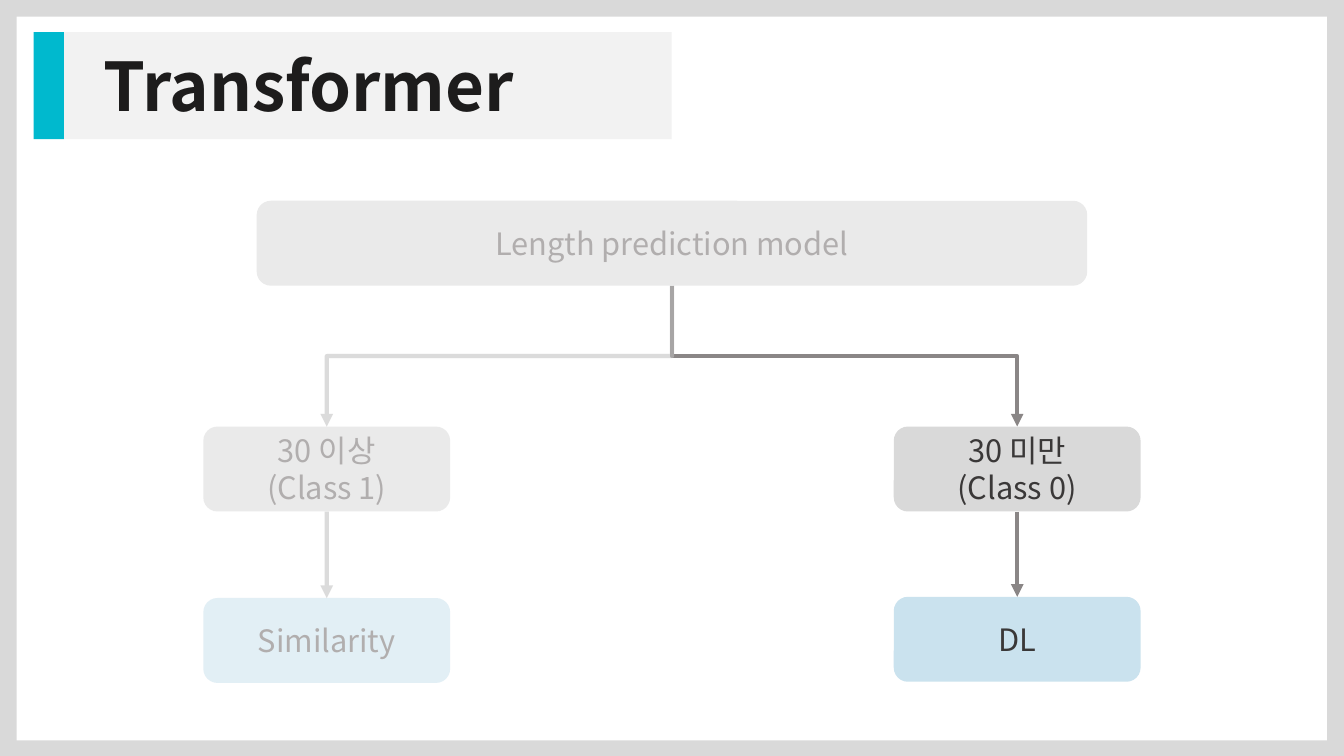
from lxml.etree import SubElement
from pptx import Presentation
from pptx.dml.color import RGBColor
from pptx.enum.shapes import MSO_CONNECTOR, MSO_SHAPE
from pptx.enum.text import MSO_ANCHOR, PP_ALIGN
from pptx.oxml.ns import qn
from pptx.util import Cm, Pt

WIDTH, HEIGHT = 33.87, 19.05
DARK, FADED = "3A3838", "B1AEAE"
GREY, BLUE = "D9D9D9", "CAE2EE"


def color(value):
    return RGBColor.from_string(value)


class Canvas:
    """Holds the style and the current page."""

    font = "Noto Sans CJK KR"
    text_size = 22
    line_width = 3

    def __init__(self, page):
        self.page = page

    def paint(self, fill, value, alpha=None):
        fill.solid()
        fill.fore_color.rgb = color(value)
        if alpha:
            element = fill._xPr.find(".//" + qn("a:srgbClr"))
            SubElement(element, qn("a:alpha"), val=str(alpha * 1000))

    def style(self, para, size, value, bold=False):
        para.font.name = self.font
        para.font.size = Pt(size)
        para.font.bold = bold
        para.font.color.rgb = color(value)

    def panel(self, left, top, width, height, fill, alpha=None, kind=MSO_SHAPE.RECTANGLE):
        box = self.page.shapes.add_shape(kind, Cm(left), Cm(top), Cm(width), Cm(height))
        box.shadow.inherit = False
        box.line.fill.background()
        self.paint(box.fill, fill, alpha)
        return box

    def title(self, left, top, width, height, text):
        box = self.page.shapes.add_textbox(Cm(left), Cm(top), Cm(width), Cm(height))
        box.text_frame.word_wrap = False
        para = box.text_frame.paragraphs[0]
        para.text = text
        self.style(para, 48, "1D1C1C", bold=True)

    def node(self, center, top, width, height, text, fill, ink, alpha=None):
        box = self.panel(center - width / 2, top, width, height, fill, alpha,
                         MSO_SHAPE.ROUNDED_RECTANGLE)
        frame = box.text_frame
        frame.vertical_anchor = MSO_ANCHOR.MIDDLE
        frame.text = text
        for para in frame.paragraphs:
            para.alignment = PP_ALIGN.CENTER
            self.style(para, self.text_size, ink)

    def arrow(self, x1, y1, x2, y2, value, alpha=None):
        """Straight when vertical, otherwise down, across and down."""
        kind, turn, ends = MSO_CONNECTOR.STRAIGHT, 0, (x1, y1, x2, y2)
        if x1 != x2:
            # An elbow runs sideways, so its box is laid out turned by a quarter
            kind, turn = MSO_CONNECTOR.ELBOW, 270 if x2 > x1 else 90
            middle_x, middle_y = (x1 + x2) / 2, (y1 + y2) / 2
            half_drop = (y2 - y1) / 2 * (1 if x2 > x1 else -1)
            half_span = abs(x2 - x1) / 2
            ends = (middle_x + half_drop, middle_y - half_span,
                    middle_x - half_drop, middle_y + half_span)
        link = self.page.shapes.add_connector(kind, *(Cm(end) for end in ends))
        properties = link._element.spPr
        if turn:
            properties.find(qn("a:xfrm")).set("rot", str(turn * 60000))
        link.line.width = Pt(self.line_width)
        self.paint(link.line.fill, value, alpha)
        SubElement(properties.find(qn("a:ln")), qn("a:tailEnd"), type="triangle")
        SubElement(properties, qn("a:effectLst"))


def main():
    deck = Presentation()
    deck.slide_width, deck.slide_height = Cm(WIDTH), Cm(HEIGHT)
    canvas = Canvas(deck.slides.add_slide(deck.slide_layouts[6]))

    # Frame and heading
    canvas.panel(0, 0, WIDTH, HEIGHT, GREY)
    canvas.panel(0.42, 0.42, 33.02, 18.24, "FFFFFF")
    canvas.panel(0.85, 0.81, 0.77, 2.7, "00B9CE")
    canvas.panel(1.62, 0.81, 15.31, 2.7, "F2F2F2")
    canvas.title(2.36, 1, 10.87, 2.31, "Transformer")

    # Tree grid
    middle, offset = WIDTH / 2, 8.7
    left, right = middle - offset, middle + offset
    width, height = 6.22, 2.14
    root_top, class_top = 5.06, 10.75
    right_top, left_top = 15.04, 15.07
    root_bottom, class_bottom = root_top + height, class_top + height

    # Active branch arrows
    canvas.arrow(middle, root_bottom, right, class_top, "8A8686")
    canvas.arrow(right, class_bottom, right, right_top, "8A8686")

    # Nodes
    canvas.node(middle, root_top, 20.93, height, "Length prediction model", "EAEAEA", FADED)
    canvas.node(left, class_top, width, height, "30 이상\n(Class 1)", GREY, FADED, 54)
    canvas.node(right, class_top, width, height, "30 미만\n(Class 0)", GREY, DARK)
    canvas.node(right, right_top, width, height, "DL", BLUE, DARK)
    canvas.node(left, left_top, width, height, "Similarity", BLUE, FADED, 54)

    # Faded branch arrows
    canvas.arrow(middle, root_bottom, left, class_top, "BFBFBF", 54)
    canvas.arrow(left, class_bottom, left, left_top, "BFBFBF", 54)

    deck.save("out.pptx")


if __name__ == "__main__":
    main()
